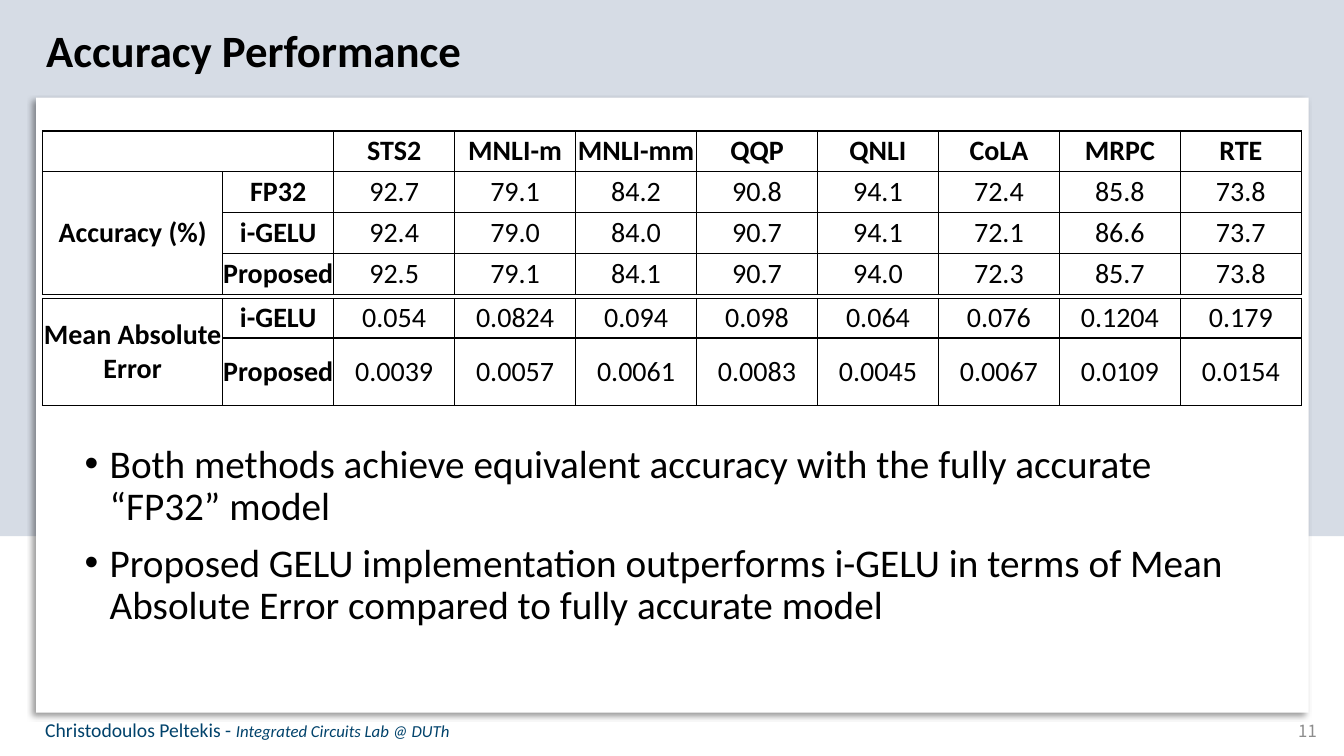
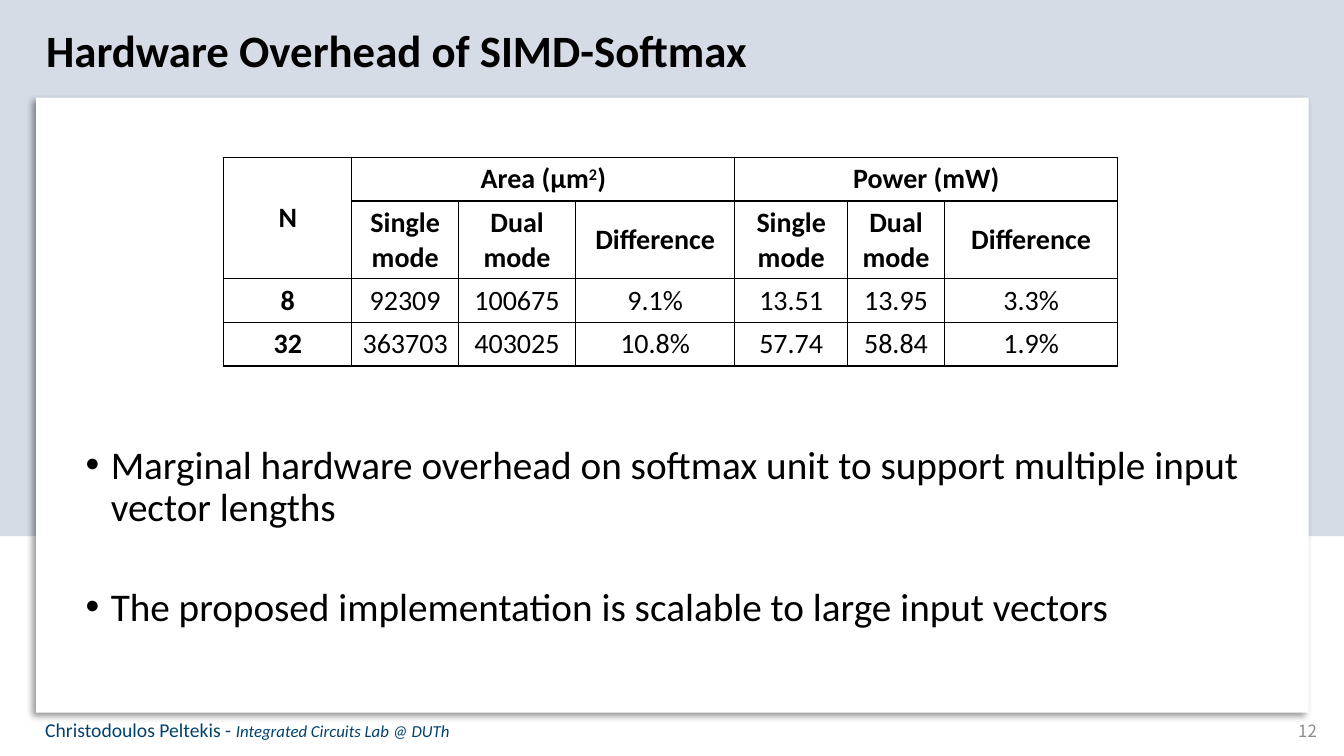
from dataclasses import dataclass

from lxml.etree import SubElement
from pptx import Presentation
from pptx.dml.color import RGBColor
from pptx.enum.shapes import MSO_SHAPE
from pptx.enum.text import MSO_ANCHOR, PP_ALIGN
from pptx.oxml.ns import qn
from pptx.util import Inches, Pt


@dataclass(frozen=True)
class Theme:
    band: str = "D6DCE5"
    card: str = "FFFFFF"
    ink: str = "000000"
    footer: str = "00426B"
    number: str = "8C8C8C"
    font: str = "Calibri"
    number_font: str = "Noto Sans CJK KR"
    title_size: int = 32
    body_size: int = 28
    table_size: int = 20
    footer_size: int = 14
    small_size: int = 12


THEME = Theme()
WIDTH, HEIGHT = Inches(13.33), Inches(7.5)


# Lengths are percentages of the slide's width and height
def across(share):
    return round(WIDTH * share / 100)


def down(share):
    return round(HEIGHT * share / 100)


def area(left, top, width, height):
    return across(left), down(top), across(width), down(height)


# Text
def set_all(target, formats):
    for name, value in formats.items():
        setattr(target, name, value)


def add_span(para, text, size, color=THEME.ink, raised=False, **formats):
    span = para.add_run()
    span.text = text
    set_all(span.font, {"name": THEME.font, "size": Pt(size), **formats})
    span.font.color.rgb = RGBColor.from_string(color)
    if raised:
        span.font._element.set("baseline", "30000")


def add_text_box(page, place, anchor=MSO_ANCHOR.TOP):
    frame = page.shapes.add_textbox(*area(*place)).text_frame
    set_all(frame, {"word_wrap": True, "vertical_anchor": anchor})
    return frame


def add_bullets(page, place, items, space_before=10):
    frame = add_text_box(page, place)
    for index, item in enumerate(items):
        para = frame.add_paragraph() if index else frame.paragraphs[0]
        gap = space_before if index else 10
        set_all(para, {"line_spacing": 0.9, "space_before": Pt(gap)})
        properties = para._p.get_or_add_pPr()
        properties.set("marL", str(Inches(0.25)))
        properties.set("indent", str(-Inches(0.25)))
        SubElement(properties, qn("a:buFont"), typeface="Arial")
        SubElement(properties, qn("a:buChar"), char="•")
        add_span(para, item, THEME.body_size)


# Background panels
def add_panel(page, place, color):
    panel = page.shapes.add_shape(MSO_SHAPE.RECTANGLE, *area(*place))
    panel.shadow.inherit = False
    panel.fill.solid()
    panel.fill.fore_color.rgb = RGBColor.from_string(color)
    panel.line.fill.background()
    return panel


def add_shadow(panel):
    effects = panel._element.spPr.find(qn("a:effectLst"))
    shadow = SubElement(effects, qn("a:outerShdw"), blurRad=str(Pt(4)),
                        dist=str(Pt(3)), dir=str(135 * 60000),
                        algn="tr", rotWithShape="0")
    color = SubElement(shadow, qn("a:srgbClr"), val=THEME.ink)
    SubElement(color, qn("a:alpha"), val="40000")


# Tables
def add_borders(cell):
    properties = cell._tc.get_or_add_tcPr()
    for side in ("lnL", "lnR", "lnT", "lnB"):
        line = SubElement(properties, qn(f"a:{side}"), w=str(Pt(1)))
        fill = SubElement(line, qn("a:solidFill"))
        SubElement(fill, qn("a:srgbClr"), val=THEME.ink)


def fill_cell(cell, content, bold, margins):
    set_all(cell, {"vertical_anchor": MSO_ANCHOR.MIDDLE, **margins})
    add_borders(cell)
    cell.fill.solid()
    cell.fill.fore_color.rgb = RGBColor.from_string(THEME.card)
    para = cell.text_frame.paragraphs[0]
    para.alignment = PP_ALIGN.CENTER
    # A tuple alternates plain and raised text
    parts = content if isinstance(content, tuple) else (content,)
    for index, part in enumerate(parts):
        if part:
            add_span(para, part, THEME.table_size, bold=bold,
                     raised=index % 2 == 1)


def add_grid(page, corner, columns, heights, rows, merges,
             header_rows=0, header_columns=1, tight=False):
    place = area(*corner, sum(columns), sum(heights))
    table = page.shapes.add_table(len(rows), len(columns), *place).table
    set_all(table, {"first_row": False, "horz_banding": False})
    for column, share in zip(table.columns, columns):
        column.width = across(share)
    for row, share in zip(table.rows, heights):
        row.height = down(share)
    sides = ("left", "right", "top", "bottom")
    margins = {f"margin_{side}": 0 for side in sides} if tight else {}
    for r, row in enumerate(rows):
        for c, content in enumerate(row):
            bold = r < header_rows or c < header_columns
            fill_cell(table.cell(r, c), content, bold, margins)
    for first, last in merges:
        table.cell(*first).merge(table.cell(*last))


# Frame shared by all slides
def add_page(deck, title, number):
    page = deck.slides.add_slide(deck.slide_layouts[6])
    add_panel(page, (0, 0, 100, 70.93), THEME.band)
    add_shadow(add_panel(page, (2.7, 12.93, 94.67, 81.33), THEME.card))

    para = add_text_box(page, (2.7, 2.4, 94.67, 8.53)).paragraphs[0]
    add_span(para, title, THEME.title_size, bold=True)

    place = (2.63, 93.07, 32.18, 6.8)
    para = add_text_box(page, place, MSO_ANCHOR.MIDDLE).paragraphs[0]
    add_span(para, "Christodoulos Peltekis - ", THEME.footer_size, THEME.footer)
    add_span(para, "Integrated Circuits Lab @ DUTh", THEME.small_size,
             THEME.footer, italic=True)

    place = (76.22, 94, 22.5, 5.33)
    para = add_text_box(page, place, MSO_ANCHOR.MIDDLE).paragraphs[0]
    para.alignment = PP_ALIGN.RIGHT
    add_span(para, str(number), THEME.small_size, THEME.number,
             name=THEME.number_font)
    return page


def build_accuracy(deck):
    page = add_page(deck, "Accuracy Performance", 11)
    columns = [13.43, 8.25] + [9] * 8
    accuracy = [
        ["", "", "STS2", "MNLI-m", "MNLI-mm", "QQP", "QNLI", "CoLA", "MRPC", "RTE"],
        ["Accuracy (%)", "FP32",
         "92.7", "79.1", "84.2", "90.8", "94.1", "72.4", "85.8", "73.8"],
        ["", "i-GELU",
         "92.4", "79.0", "84.0", "90.7", "94.1", "72.1", "86.6", "73.7"],
        ["", "Proposed",
         "92.5", "79.1", "84.1", "90.7", "94.0", "72.3", "85.7", "73.8"],
    ]
    errors = [
        ["Mean Absolute Error", "i-GELU", "0.054", "0.0824", "0.094",
         "0.098", "0.064", "0.076", "0.1204", "0.179"],
        ["", "Proposed", "0.0039", "0.0057", "0.0061",
         "0.0083", "0.0045", "0.0067", "0.0109", "0.0154"],
    ]
    add_grid(page, (3.15, 17.33), columns, [5.4] * 4, accuracy,
             [((0, 0), (0, 1)), ((1, 0), (3, 0))],
             header_rows=1, header_columns=2, tight=True)
    add_grid(page, (3.15, 39.47), columns, [5.25, 8.85], errors,
             [((0, 0), (1, 0))], header_columns=2, tight=True)
    add_bullets(page, (5.55, 58.13, 89.5, 29.6), [
        "Both methods achieve equivalent accuracy with the fully accurate "
        "“FP32” model",
        "Proposed GELU implementation outperforms i-GELU in terms of Mean "
        "Absolute Error compared to fully accurate model",
    ])


def build_overhead(deck):
    page = add_page(deck, "Hardware Overhead of SIMD-Softmax", 12)
    modes = ["Single mode", "Dual mode", "Difference"]
    overhead = [
        ["N", ("Area (μm", "2", ")"), "", "", "Power (mW)", "", ""],
        ["", *modes, *modes],
        ["8", "92309", "100675", "9.1%", "13.51", "13.95", "3.3%"],
        ["32", "363703", "403025", "10.8%", "57.74", "58.84", "1.9%"],
    ]
    add_grid(page, (16.65, 20.8), [9.53, 7.95, 8.7, 11.85, 8.4, 7.2, 12.9],
             [5.8, 10.2, 5.8, 5.8], overhead,
             [((0, 0), (1, 0)), ((0, 1), (0, 3)), ((0, 4), (0, 6))],
             header_rows=2)
    add_bullets(page, (5.63, 58.27, 88.97, 31.6), [
        "Marginal hardware overhead on softmax unit to support multiple input "
        "vector lengths",
        "The proposed implementation is scalable to large input vectors",
    ], space_before=41)


def main():
    deck = Presentation()
    set_all(deck, {"slide_width": WIDTH, "slide_height": HEIGHT})
    build_accuracy(deck)
    build_overhead(deck)
    deck.save("out.pptx")


if __name__ == "__main__":
    main()
